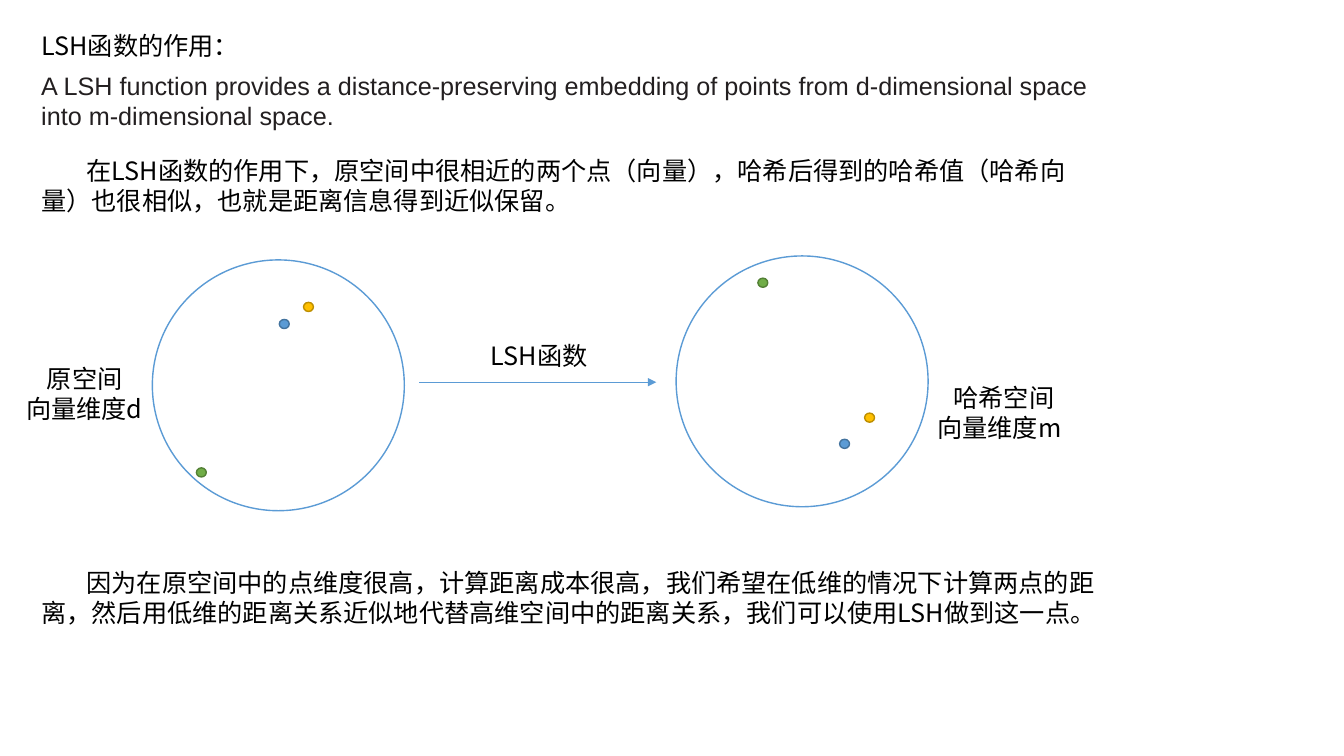
from dataclasses import dataclass

import pptx
import pptx.dml.color
import pptx.enum.shapes
import pptx.enum.text
import pptx.oxml.ns
import pptx.shapes.autoshape
import pptx.shapes.base
import pptx.slide
import pptx.util
from lxml import etree

Cm = pptx.util.Cm
Pt = pptx.util.Pt
Align = pptx.enum.text.PP_ALIGN


@dataclass(frozen=True)
class Theme:
    chinese_font: str = "Noto Sans CJK SC"
    english_font: str = "Arial"
    text_size: float = 18
    text: str = "000000"
    quote: str = "231F20"
    outline: str = "5B9BD5"
    outline_width: float = 1
    arrow_width: float = 0.5


@dataclass(frozen=True)
class Box:
    left: float
    top: float
    width: float
    height: float

    def lengths(self) -> tuple[pptx.util.Length, ...]:
        return Cm(self.left), Cm(self.top), Cm(self.width), Cm(self.height)


@dataclass(frozen=True)
class PointColor:
    fill: str
    line: str


@dataclass(frozen=True)
class Space:
    circle: Box
    label: Box
    lines: tuple[str, str]
    points: tuple[tuple[float, float], ...]


THEME = Theme()
POINT_WIDTH, POINT_HEIGHT = 0.25, 0.23
POINT_COLORS = (
    PointColor("5B9BD5", "43739E"),
    PointColor("FFC000", "BD8E00"),
    PointColor("70AD47", "538035"),
)
SPACES = (
    Space(
        Box(3.84, 6.55, 6.35, 6.32),
        Box(0.41, 9.02, 3.45, 1.8),
        ("原空间", "向量维度d"),
        ((7.04, 8.05), (7.65, 7.62), (4.95, 11.79)),
    ),
    Space(
        Box(17.04, 6.45, 6.35, 6.32),
        Box(23.37, 9.5, 3.86, 1.8),
        ("哈希空间", "向量维度m"),
        ((21.16, 11.07), (21.79, 10.41), (19.1, 7.01)),
    ),
)
MARGIN = 0.79
EXPLANATIONS = (
    (3.78, "在LSH函数的作用下，原空间中很相近的两个点（向量），哈希后得到的哈希值"
           "（哈希向量）也很相似，也就是距离信息得到近似保留。"),
    (14.17, "因为在原空间中的点维度很高，计算距离成本很高，我们希望在低维的情况下"
            "计算两点的距离，然后用低维的距离关系近似地代替高维空间中的距离关系，"
            "我们可以使用LSH做到这一点。"),
)


def rgb(value: str) -> pptx.dml.color.RGBColor:
    return pptx.dml.color.RGBColor.from_string(value)


def write(
    holder: pptx.shapes.base.BaseShape,
    *lines: str,
    font: str = THEME.chinese_font,
    color: str = THEME.text,
    first_align: Align = Align.LEFT,
    indent: float = 0,
) -> None:
    frame = holder.text_frame
    frame.word_wrap = True
    frame.auto_size = pptx.enum.text.MSO_AUTO_SIZE.SHAPE_TO_FIT_TEXT
    frame.vertical_anchor = pptx.enum.text.MSO_ANCHOR.TOP
    frame.text = "\n".join(lines)
    for number, paragraph in enumerate(frame.paragraphs):
        paragraph.alignment = Align.LEFT if number else first_align
        if indent:
            paragraph._p.get_or_add_pPr().set("indent", str(Cm(indent)))
        for run in paragraph.runs:
            run.font.name = font
            run.font.size = Pt(THEME.text_size)
            run.font.color.rgb = rgb(color)
            east_asian = etree.Element(pptx.oxml.ns.qn("a:ea"), typeface=font)
            run.font._element.find(pptx.oxml.ns.qn("a:latin")).addnext(east_asian)


def add_text_box(slide: pptx.slide.Slide, box: Box) -> pptx.shapes.autoshape.Shape:
    return slide.shapes.add_textbox(*box.lengths())


def add_ellipse(slide: pptx.slide.Slide, box: Box, line: str, fill: str | None = None) -> None:
    ellipse = slide.shapes.add_shape(pptx.enum.shapes.MSO_SHAPE.OVAL, *box.lengths())
    ellipse.shadow.inherit = False
    if fill:
        ellipse.fill.solid()
        ellipse.fill.fore_color.rgb = rgb(fill)
    else:
        ellipse.fill.background()
    ellipse.line.color.rgb = rgb(line)
    ellipse.line.width = Pt(THEME.outline_width)


def add_arrow(slide: pptx.slide.Slide, start: float, end: float, height: float) -> None:
    arrow = slide.shapes.add_connector(
        pptx.enum.shapes.MSO_CONNECTOR.STRAIGHT, Cm(start), Cm(height), Cm(end), Cm(height)
    )
    arrow.line.color.rgb = rgb(THEME.outline)
    arrow.line.width = Pt(THEME.arrow_width)
    properties = arrow._element.spPr
    outline = properties.find(pptx.oxml.ns.qn("a:ln"))
    etree.SubElement(outline, pptx.oxml.ns.qn("a:tailEnd"), type="triangle")
    etree.SubElement(properties, pptx.oxml.ns.qn("a:effectLst"))


def add_space(slide: pptx.slide.Slide, space: Space) -> None:
    add_ellipse(slide, space.circle, THEME.outline)
    write(add_text_box(slide, space.label), *space.lines, first_align=Align.CENTER)
    for (left, top), color in zip(space.points, POINT_COLORS):
        add_ellipse(slide, Box(left, top, POINT_WIDTH, POINT_HEIGHT), color.line, color.fill)


presentation = pptx.Presentation()
presentation.slide_width = Cm(33.87)
presentation.slide_height = Cm(19.05)
lsh_slide = presentation.slides.add_slide(presentation.slide_layouts[5])

heading = lsh_slide.shapes.title
heading.left, heading.top, heading.width, heading.height = Box(MARGIN, 0.64, 32, 1.02).lengths()
write(heading, "LSH函数的作用：")

write(
    add_text_box(lsh_slide, Box(MARGIN, 1.65, 28.02, 1.8)),
    "A LSH function provides a distance-preserving embedding of points "
    "from d-dimensional space into m-dimensional space.",
    font=THEME.english_font,
    color=THEME.quote,
)
for explanation_top, explanation in EXPLANATIONS:
    explanation_box = add_text_box(lsh_slide, Box(MARGIN, explanation_top, 27.08, 1.8))
    write(explanation_box, explanation, indent=1.14)

for vector_space in SPACES:
    add_space(lsh_slide, vector_space)
add_arrow(lsh_slide, 10.57, 16.54, 9.63)
write(add_text_box(lsh_slide, Box(12.12, 8.46, 3.84, 1.02)), "LSH函数")

presentation.save("out.pptx")
